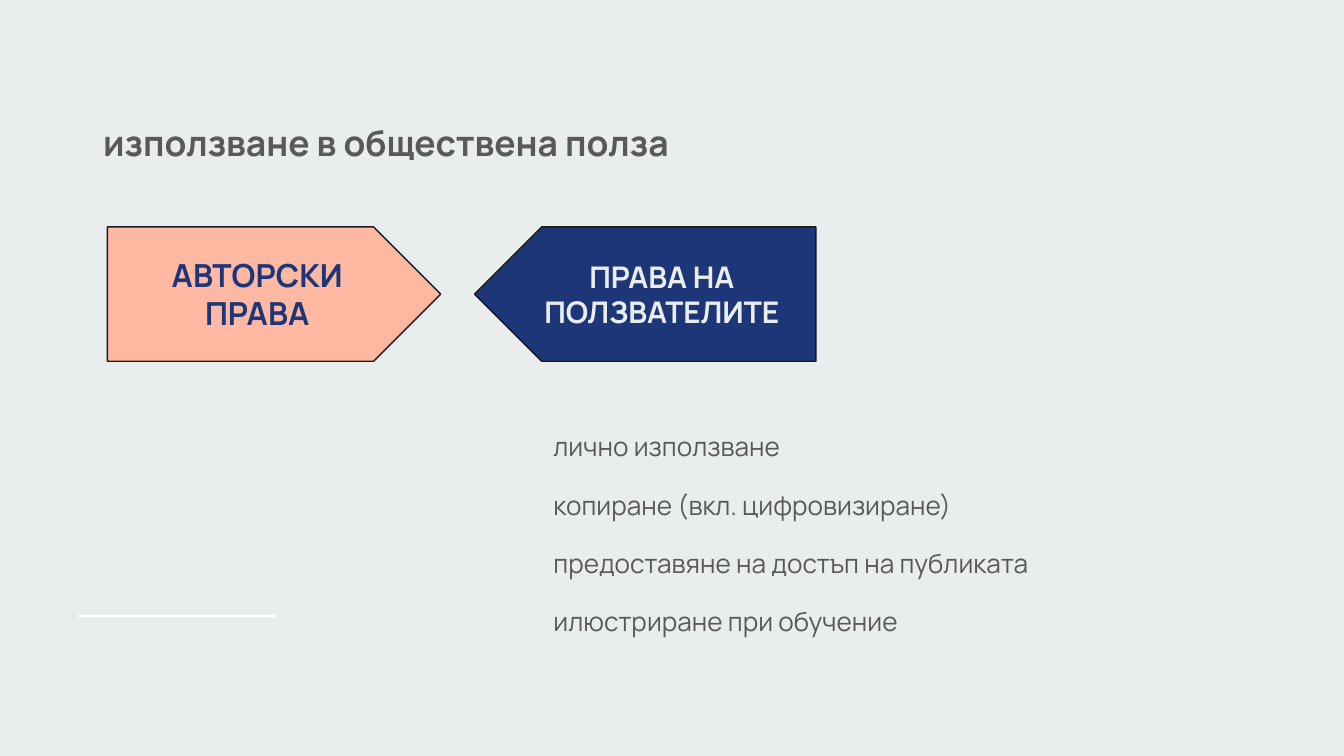
"""Build a slide that sets authors' rights against users' rights."""
from pptx import Presentation
from pptx.dml.color import RGBColor
from pptx.enum.shapes import MSO_SHAPE
from pptx.enum.text import MSO_ANCHOR, PP_ALIGN
from pptx.util import Cm, Pt

PLATE, RECT = MSO_SHAPE.PENTAGON, MSO_SHAPE.RECTANGLE
TOP, MIDDLE = MSO_ANCHOR.TOP, MSO_ANCHOR.MIDDLE
LEFT, CENTER = PP_ALIGN.LEFT, PP_ALIGN.CENTER

FONT = "Manrope"
PALE, GRAY, NAVY = "E9EDEE", "595959", "1C3678"
PEACH, WHITE, EDGE = "FFB8A2", "FFFFFF", "1A1A1A"

TITLE = ["използване в обществена полза"]
USES = [
    "лично използване",
    "копиране (вкл. цифровизиране)",
    "предоставяне на достъп на публиката",
    "илюстриране при обучение",
]
RIGHTS = [
    {"lines": ["АВТОРСКИ", "ПРАВА"], "wide": 6.3, "fill": PEACH,
     "ink": NAVY, "size": 17, "flip": False},
    {"lines": ["ПРАВА НА ПОЛЗВАТЕЛИТЕ"], "wide": 6.45, "fill": NAVY,
     "ink": PALE, "size": 16, "flip": True},
]
START, GAP, ROW, TALL = 2.03, 0.64, 4.29, 2.54


def color(code):
    return RGBColor.from_string(code)


def write(shape, lines, size, ink, bold=False, align=LEFT, anchor=TOP,
          space=1.0, before=0):
    frame = shape.text_frame
    frame.word_wrap = True
    frame.vertical_anchor = anchor
    frame.margin_left = frame.margin_right = Cm(0.25)
    frame.margin_top = frame.margin_bottom = Cm(0.25)
    for i, line in enumerate(lines):
        para = frame.add_paragraph() if i else frame.paragraphs[0]
        para.alignment = align
        para.line_spacing = space
        if i:
            para.space_before = Pt(before)
        run = para.add_run()
        run.text = line
        run.font.name = FONT
        run.font.size = Pt(size)
        run.font.bold = bold
        run.font.color.rgb = color(ink)


def draw(slide, kind, box, fill):
    shape = slide.shapes.add_shape(kind, *map(Cm, box))
    shape.shadow.inherit = False
    shape.fill.solid()
    shape.fill.fore_color.rgb = color(fill)
    shape.line.fill.background()
    return shape


def main():
    deck = Presentation()
    deck.slide_width, deck.slide_height = Cm(25.4), Cm(14.29)
    slide = deck.slides.add_slide(deck.slide_layouts[6])
    slide.background.fill.solid()
    slide.background.fill.fore_color.rgb = color(PALE)

    draw(slide, RECT, (1.47, 11.62, 3.73, 0.05), WHITE)

    title = slide.shapes.add_textbox(Cm(1.7), Cm(2.03), Cm(20.65), Cm(1.32))
    write(title, TITLE, 19, GRAY, bold=True)
    uses = slide.shapes.add_textbox(Cm(10.21), Cm(7.8), Cm(13.06), Cm(5.77))
    write(uses, USES, 14, GRAY, space=1.15, before=12)

    left = START
    for part in RIGHTS:
        plate = draw(slide, PLATE, (left, ROW, part["wide"], TALL),
                     part["fill"])
        plate.adjustments[0] = 0.5
        plate.line.color.rgb = color(EDGE)
        plate.line.width = Pt(0.75)
        if part["flip"]:
            plate._element.spPr.xfrm.set("flipH", "1")
        write(plate, part["lines"], part["size"], part["ink"], bold=True,
              align=CENTER, anchor=MIDDLE)
        left += part["wide"] + GAP

    deck.save("out.pptx")


if __name__ == "__main__":
    main()
